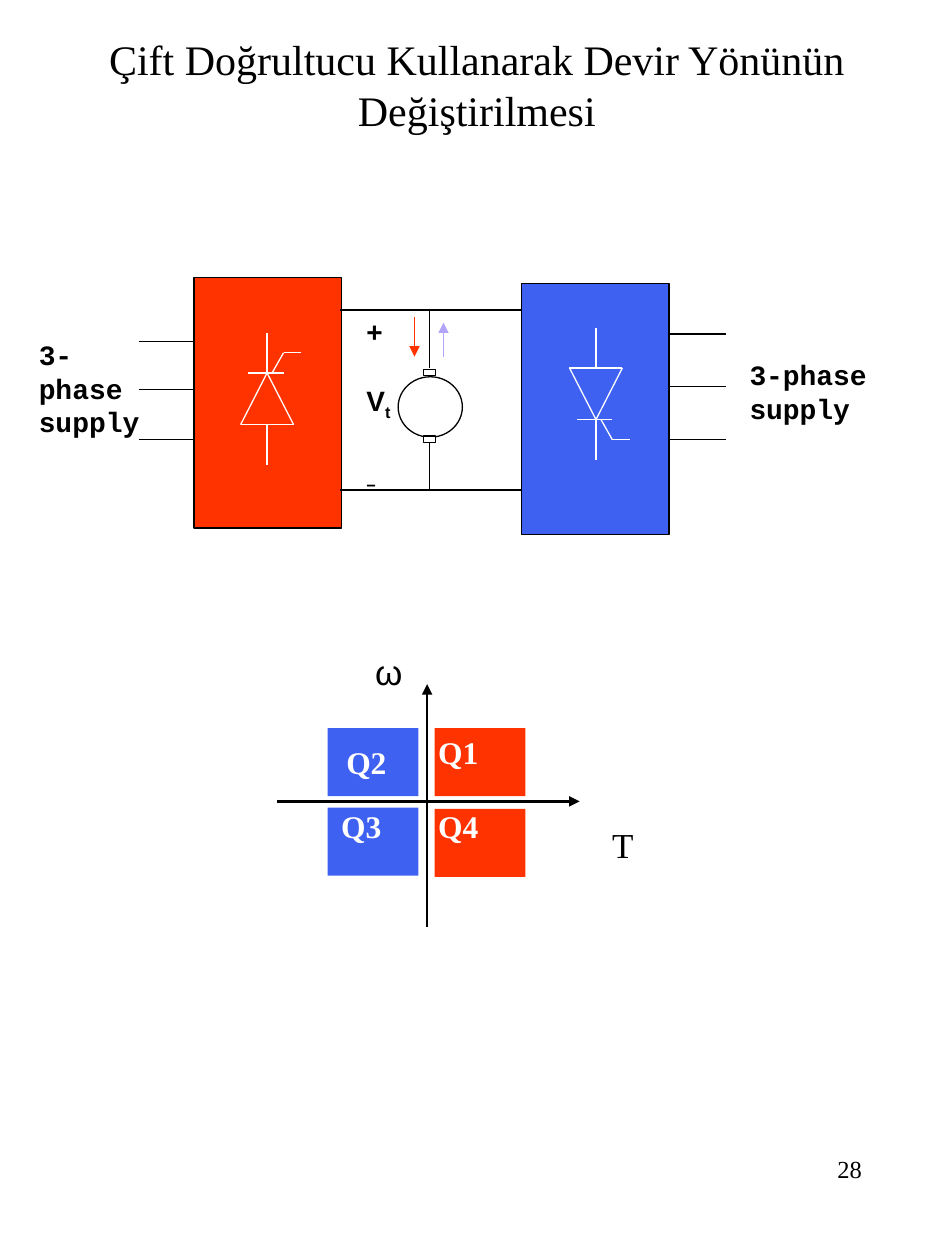
from dataclasses import dataclass

import pptx
import pptx.dml.color
import pptx.enum.shapes
import pptx.enum.text
import pptx.oxml.xmlchemy
import pptx.util
from pptx.util import Inches

SHAPE = pptx.enum.shapes.MSO_SHAPE
ALIGN = pptx.enum.text.PP_ALIGN
ANCHOR = pptx.enum.text.MSO_ANCHOR
BLACK, WHITE, RED, BLUE, LILAC = "000000", "FFFFFF", "FF3300", "3F61F1", "B2A3FB"
SERIF, SANS, MONO = "Times New Roman", "Arial", "Courier New"


@dataclass
class Label:
    lines: list[str]
    left: float
    top: float
    width: float
    height: float
    size: float
    font: str = SERIF
    color: str = BLACK
    bold: bool = False
    align: ALIGN = ALIGN.LEFT
    anchor: ANCHOR = ANCHOR.TOP


@dataclass
class Block:
    left: float
    top: float
    width: float
    height: float
    fill: str
    outline: str | None = None
    kind: SHAPE = SHAPE.RECTANGLE


@dataclass
class Wire:
    x1: float
    y1: float
    x2: float
    y2: float
    color: str = BLACK
    weight: float = 0.75
    arrow: bool = False


def rgb(value: str) -> pptx.dml.color.RGBColor:
    return pptx.dml.color.RGBColor.from_string(value)


def draw_label(page, label: Label):
    box = page.shapes.add_textbox(Inches(label.left), Inches(label.top),
                                  Inches(label.width), Inches(label.height))
    frame = box.text_frame
    frame.word_wrap = True
    frame.vertical_anchor = label.anchor
    frame.text = "\n".join(label.lines)
    for para in frame.paragraphs:
        para.alignment = label.align
        para.font.name = label.font
        para.font.size = pptx.util.Pt(label.size)
        para.font.bold = label.bold
        para.font.color.rgb = rgb(label.color)
    return frame


def draw_block(page, block: Block) -> None:
    shape = page.shapes.add_shape(block.kind, Inches(block.left), Inches(block.top),
                                  Inches(block.width), Inches(block.height))
    shape.shadow.inherit = False
    shape.fill.solid()
    shape.fill.fore_color.rgb = rgb(block.fill)
    if block.outline:
        shape.line.color.rgb = rgb(block.outline)
        shape.line.width = pptx.util.Pt(0.75)
    else:
        shape.line.fill.background()


def draw_wire(page, wire: Wire) -> None:
    line = page.shapes.add_connector(
        pptx.enum.shapes.MSO_CONNECTOR.STRAIGHT,
        Inches(wire.x1), Inches(wire.y1), Inches(wire.x2), Inches(wire.y2))
    line.line.color.rgb = rgb(wire.color)
    line.line.width = pptx.util.Pt(wire.weight)
    properties = line._element.spPr
    if wire.arrow:
        head = pptx.oxml.xmlchemy.OxmlElement("a:tailEnd")
        head.set("type", "triangle")
        properties.get_or_add_ln().append(head)
    properties.append(pptx.oxml.xmlchemy.OxmlElement("a:effectLst"))


def draw_thyristor(page, x: float, y: float, down: int) -> None:
    """Draw the symbol from its tip; down is 1 if the body lies below the tip."""
    strokes = [
        (0, 0, -0.21, 0.41), (0, 0, 0.21, 0.41), (-0.21, 0.41, 0.21, 0.41),  # triangle
        (-0.15, 0, 0.13, 0),  # bar
        (0.04, 0, 0.13, -0.16), (0.13, -0.16, 0.27, -0.16),  # gate
        (0, 0, 0, -0.32), (0, 0.73, 0, 0.41),  # leads
    ]
    for x1, y1, x2, y2 in strokes:
        draw_wire(page, Wire(x + x1, y + down * y1, x + x2, y + down * y2, WHITE))


def draw_quadrants(page) -> None:
    for left, top, fill in [(2.6, 6.41, BLUE), (2.6, 5.78, BLUE),
                            (3.45, 6.42, RED), (3.45, 5.78, RED)]:
        draw_block(page, Block(left, top, 0.72, 0.54, fill))
    draw_wire(page, Wire(3.39, 7.36, 3.39, 5.43, weight=1.5, arrow=True))
    draw_wire(page, Wire(2.2, 6.36, 4.6, 6.36, weight=1.5, arrow=True))
    for name, left, top in [("Q1", 3.38, 5.77), ("Q2", 2.65, 5.85),
                            ("Q3", 2.61, 6.36), ("Q4", 3.38, 6.36)]:
        draw_label(page, Label([name], left, top, 0.97, 0.5, 18, color=WHITE, bold=True))
    draw_label(page, Label(["ω"], 2.88, 5.11, 0.86, 0.44, 20, SANS))
    draw_label(page, Label(["T"], 4.76, 6.49, 0.86, 0.44, 20))


def draw_circuit(page) -> None:
    # Rectifiers
    draw_block(page, Block(1.54, 2.2, 1.17, 1.99, RED, BLACK))
    draw_block(page, Block(4.14, 2.25, 1.17, 1.99, BLUE, BLACK))
    draw_thyristor(page, 2.12, 2.96, 1)
    draw_thyristor(page, 4.73, 3.33, -1)

    # Motor with its brushes and wiring
    draw_block(page, Block(3.16, 2.99, 0.51, 0.48, WHITE, BLACK, SHAPE.OVAL))
    for y in (2.46, 3.89):
        draw_wire(page, Wire(2.7, y, 4.14, y))
    draw_wire(page, Wire(3.41, 2.45, 3.41, 2.92))
    draw_wire(page, Wire(3.41, 3.5, 3.41, 3.89))
    for top in (2.93, 3.46):
        draw_block(page, Block(3.36, top, 0.1, 0.05, WHITE, BLACK))

    # Current directions
    draw_wire(page, Wire(3.29, 2.52, 3.29, 2.83, RED, arrow=True))
    draw_wire(page, Wire(3.52, 2.83, 3.52, 2.56, LILAC, arrow=True))

    # Supply phases
    for left, heights in [(1.1, (2.71, 3.09, 3.49)), (5.32, (2.65, 3.07, 3.49))]:
        for y in heights:
            draw_wire(page, Wire(left, y, left + 0.44, y))
    for left, top, width in [(5.85, 2.79, 1.65), (0.21, 2.63, 1.06)]:
        draw_label(page, Label(["3-phase", "supply"], left, top, width, 0.93, 16,
                               MONO, bold=True))

    # Terminal voltage
    frame = draw_label(page, Label(["+", "V", "−"], 2.81, 2.45, 0.39, 1.55, 16,
                                   SANS, bold=True))
    frame.word_wrap = False
    _, voltage, minus = frame.paragraphs
    span = voltage.add_run()
    span.text = "t"
    for lowered in (span, minus.runs[0]):
        lowered._r.get_or_add_rPr().set("baseline", "-25000")
    for para in (voltage, minus):
        para.space_before = pptx.util.Pt(20)


def main() -> None:
    deck = pptx.Presentation()
    deck.slide_width, deck.slide_height = Inches(7.5), Inches(10)
    page = deck.slides.add_slide(deck.slide_layouts[6])

    # Title and page number
    draw_label(page, Label(["Çift Doğrultucu Kullanarak Devir Yönünün Değiştirilmesi"],
                           0.6, 0, 6.37, 1.34, 24, align=ALIGN.CENTER,
                           anchor=ANCHOR.MIDDLE))
    draw_label(page, Label(["28"], 5.38, 9.11, 1.56, 0.67, 14, align=ALIGN.RIGHT))

    draw_quadrants(page)
    draw_circuit(page)
    deck.save("out.pptx")


if __name__ == "__main__":
    main()
